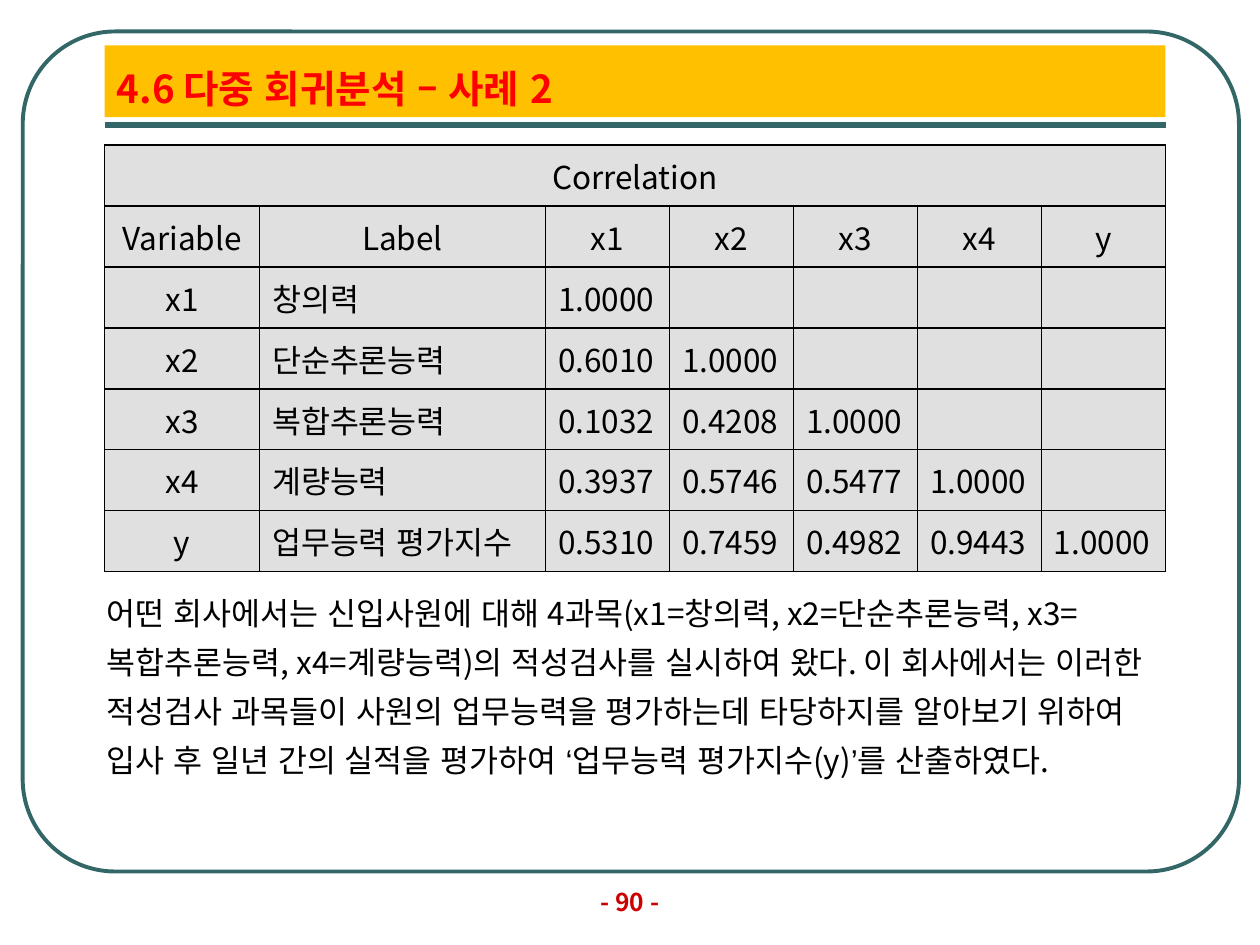
from pptx import Presentation
from pptx.dml.color import RGBColor
from pptx.enum.lang import MSO_LANGUAGE_ID
from pptx.enum.shapes import MSO_CONNECTOR, MSO_SHAPE
from pptx.enum.text import MSO_ANCHOR, PP_ALIGN
from pptx.oxml.ns import qn
from pptx.util import Pt
from lxml import etree

LEFT, CENTER = PP_ALIGN.LEFT, PP_ALIGN.CENTER
TOP, MIDDLE, BOTTOM = MSO_ANCHOR.TOP, MSO_ANCHOR.MIDDLE, MSO_ANCHOR.BOTTOM
KOREAN = MSO_LANGUAGE_ID.KOREAN
RECT, ROUND_RECT = MSO_SHAPE.RECTANGLE, MSO_SHAPE.ROUNDED_RECTANGLE
STRAIGHT = MSO_CONNECTOR.STRAIGHT

FONT, QUOTE_FONT = "Noto Sans CJK KR", "Arial"
TEAL, GOLD, RED, DARK_RED = "336666", "FFC000", "FF0000", "CC0000"
BLACK, GRAY = "000000", "E0E0E0"
MARGIN, CONTENT_W = 59.75, 606.25

VARIABLES = ["x1", "x2", "x3", "x4", "y"]
LABELS = ["창의력", "단순추론능력", "복합추론능력", "계량능력", "업무능력 평가지수"]
CORRELATIONS = [
    ["1.0000"],
    ["0.6010", "1.0000"],
    ["0.1032", "0.4208", "1.0000"],
    ["0.3937", "0.5746", "0.5477", "1.0000"],
    ["0.5310", "0.7459", "0.4982", "0.9443", "1.0000"],
]
BODY = [
    ("어떤 회사에서는 신입사원에 대해 4과목(x1=창의력, x2=단순추론능력, "
     "x3=복합추론능력, x4=계량능력)의 적성검사를 실시하여 왔다. 이 회사에서는 "
     "이러한 적성검사 과목들이 사원의 업무능력을 평가하는데 타당하지를 알아보기 "
     "위하여 입사 후 일년 간의 실적을 평가하여 ", FONT),
    ("‘", QUOTE_FONT),
    ("업무능력 평가지수(y)", FONT),
    ("’", QUOTE_FONT),
    ("를 산출하였다.", FONT),
]


def rgb(color):
    return RGBColor.from_string(color)


def write(tf, runs, color=BLACK, align=LEFT, size=18, bold=False, spacing=1.0):
    p = tf.paragraphs[0]
    p.alignment, p.line_spacing = align, spacing
    for text, face in runs:
        r = p.add_run()
        r.text = text
        formats = {"size": Pt(size), "bold": bold, "name": face, "language_id": KOREAN}
        for name, value in formats.items():
            setattr(r.font, name, value)
        r.font.color.rgb = rgb(color)
        r.font._element.find(qn("a:latin")).addnext(
            etree.Element(qn("a:ea"), typeface=face))


def add_box(slide, kind, box, fill=None, line=None):
    s = slide.shapes.add_shape(kind, *map(Pt, box))
    s.shadow.inherit = False
    if fill:
        s.fill.solid()
        s.fill.fore_color.rgb = rgb(fill)
    else:
        s.fill.background()
    if line:
        s.line.color.rgb, s.line.width = rgb(line), Pt(2.25)
    else:
        s.line.fill.background()
    return s


def add_rule(slide, x1, x2, y):
    s = slide.shapes.add_connector(STRAIGHT, Pt(x1), Pt(y), Pt(x2), Pt(y))
    s.line.color.rgb, s.line.width = rgb(TEAL), Pt(3)
    etree.SubElement(s._element.spPr, qn("a:effectLst"))


def add_text(slide, box, runs, anchor, **formats):
    tf = slide.shapes.add_textbox(*map(Pt, box)).text_frame
    tf.word_wrap, tf.vertical_anchor = True, anchor
    write(tf, runs, **formats)


def style_cell(cell):
    tc_pr = cell._tc.get_or_add_tcPr()
    for side in ("lnL", "lnR", "lnT", "lnB"):
        ln = etree.SubElement(tc_pr, qn("a:" + side), w=str(Pt(1)))
        fill = etree.SubElement(ln, qn("a:solidFill"))
        etree.SubElement(fill, qn("a:srgbClr"), val=BLACK)
    cell.fill.solid()
    cell.fill.fore_color.rgb = rgb(GRAY)
    cell.vertical_anchor = MIDDLE


def add_correlation_table(slide):
    rows = [["Correlation"], ["Variable", "Label"] + VARIABLES]
    rows += [[v, label] + values
             for v, label, values in zip(VARIABLES, LABELS, CORRELATIONS)]
    widths = [88.5, 163.5] + [70.85] * len(VARIABLES)
    row_h = 34.86
    table = slide.shapes.add_table(
        len(rows), len(widths), Pt(MARGIN), Pt(82.8),
        Pt(CONTENT_W), Pt(row_h * len(rows))).table
    for col, width in zip(table.columns, widths):
        col.width = Pt(width)
    for i, row in enumerate(rows):
        table.rows[i].height = Pt(row_h)
        for j in range(len(widths)):
            cell = table.cell(i, j)
            style_cell(cell)
            if j < len(row):
                align = CENTER if i < 2 or j == 0 else LEFT
                write(cell.text_frame, [(row[j], FONT)], align=align)
            else:
                cell.text_frame.paragraphs[0].font.size = Pt(18)
    table.cell(0, 0).merge(table.cell(0, len(widths) - 1))


def main():
    prs = Presentation()
    prs.slide_width, prs.slide_height = Pt(720), Pt(540)
    slide = prs.slides.add_slide(prs.slide_layouts[6])

    frame = add_box(slide, ROUND_RECT, (13, 18, 695, 480), line=TEAL)
    frame.adjustments[0] = 0.11
    add_rule(slide, MARGIN, MARGIN + CONTENT_W, 71.5)
    add_text(slide, (297, 497, 126, 36), [("- 90 -", FONT)], MIDDLE,
             color=DARK_RED, align=CENTER, size=14, bold=True)

    title = add_box(slide, RECT, (MARGIN, 26, CONTENT_W, 41), fill=GOLD)
    title.text_frame.vertical_anchor = BOTTOM
    write(title.text_frame, [("4.6 다중 회귀분석 – 사례 2", FONT)],
          color=RED, size=22, bold=True)

    add_correlation_table(slide)
    add_text(slide, (54, 329.5, 618, 147.6), BODY, TOP, spacing=1.3)
    prs.save("out.pptx")


if __name__ == "__main__":
    main()
